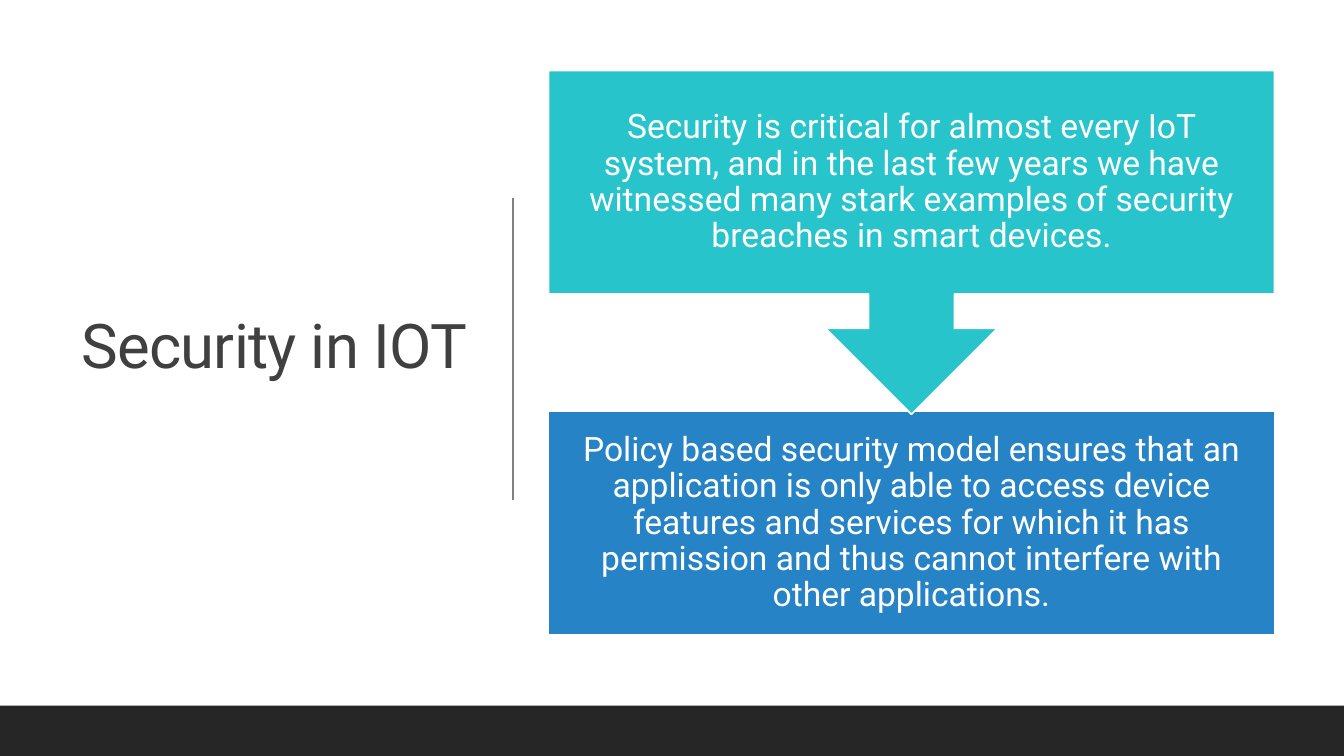
from lxml import etree
from pptx import Presentation
from pptx import util as u
from pptx.dml.color import RGBColor
from pptx.enum import shapes, text
from pptx.oxml.ns import qn


def paint(color_format, color):
    color_format.solid()
    color_format.fore_color.rgb = RGBColor.from_string(color)


def add_text(left, top, width, height, wording, size, color, align, inset):
    box = page.shapes.add_textbox(u.Inches(left), u.Inches(top), u.Inches(width), u.Inches(height))
    frame = box.text_frame
    frame.word_wrap = True
    frame.vertical_anchor = text.MSO_ANCHOR.MIDDLE
    frame.margin_left = frame.margin_right = u.Inches(inset)
    frame.margin_top = frame.margin_bottom = u.Inches(inset)
    para = frame.paragraphs[0]
    para.alignment = align
    para.line_spacing = 0.9
    span = para.add_run()
    span.text = wording
    span.font.name = "Roboto"
    span.font.size = u.Pt(size)
    paint(span.font.fill, color)
    return span


deck = Presentation()
deck.slide_width = u.Inches(13.33)
deck.slide_height = u.Inches(7.5)
page = deck.slides.add_slide(deck.slide_layouts[6])

title = add_text(0.7, 0.69, 4.03, 5.53, "Security in IOT", 44, "404040", text.PP_ALIGN.RIGHT, 0.1)
title._r.get_or_add_rPr().set("spc", "-50")

divider = page.shapes.add_connector(
    shapes.MSO_CONNECTOR.STRAIGHT, u.Inches(5.09), u.Inches(1.96), u.Inches(5.09), u.Inches(4.96))
paint(divider.line.fill, "808080")
divider.line.width = u.Pt(1)
etree.SubElement(divider._element.spPr, qn("a:effectLst"))

kinds = shapes.MSO_SHAPE
blocks = [
    (kinds.RECTANGLE, 0, 7, 13.33, 0.5, 0, "262626", None),
    (kinds.RECTANGLE, 5.44, 4.08, 7.2, 2.22, 0, "2683C6",
     "Policy based security model ensures that an application is only able to access device "
     "features and services for which it has permission and thus cannot interfere with other "
     "applications."),
    (kinds.UP_ARROW_CALLOUT, 5.44, 0.7, 7.2, 3.41, 180, "28C4CC",
     "Security is critical for almost every IoT system, and in the last few years we have "
     "witnessed many stark examples of security breaches in smart devices."),
]
for kind, left, top, width, height, rotation, color, wording in blocks:
    block = page.shapes.add_shape(
        kind, u.Inches(left), u.Inches(top), u.Inches(width), u.Inches(height))
    block.rotation = rotation
    block.shadow.inherit = False
    paint(block.fill, color)
    if wording:
        paint(block.line.fill, "FFFFFF")
        block.line.width = u.Pt(1.25)
        add_text(left, top, width, 2.22, wording, 24, "FFFFFF", text.PP_ALIGN.CENTER, 0.19)
    else:
        block.line.fill.background()

deck.save("out.pptx")
